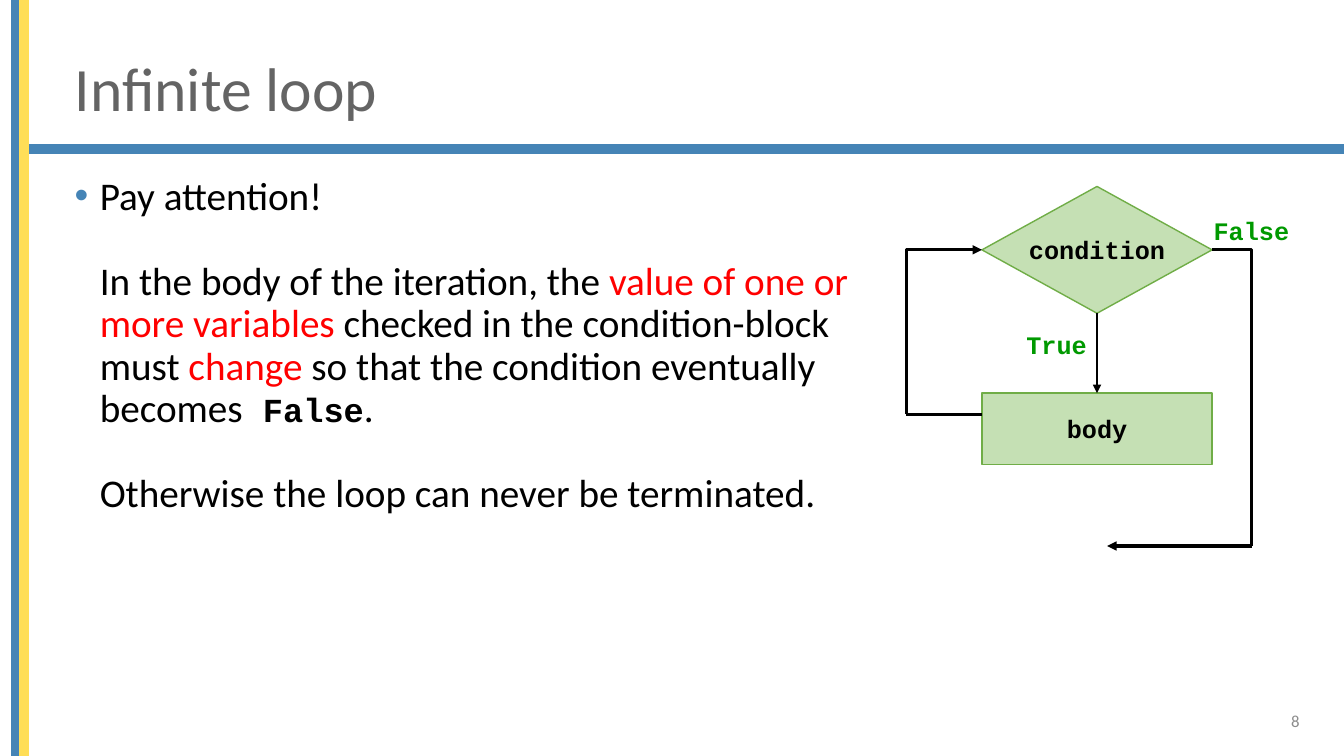
from lxml import etree
from pptx import Presentation
from pptx.dml.color import RGBColor
from pptx.enum.shapes import MSO_CONNECTOR as LINE, MSO_SHAPE as SHAPE
from pptx.enum.text import MSO_ANCHOR as ANCHOR, PP_ALIGN as ALIGN
from pptx.oxml.ns import qn
from pptx.util import Inches, Pt

BLUE = RGBColor(0x45, 0x84, 0xB6)
YELLOW = RGBColor(0xFF, 0xDE, 0x57)
GREY = RGBColor(0x64, 0x64, 0x64)
PALE_GREY = RGBColor(0x8C, 0x8C, 0x8C)
BLACK = RGBColor(0, 0, 0)
RED = RGBColor(0xFF, 0, 0)
PALE_GREEN = RGBColor(0xC5, 0xE0, 0xB4)
EDGE_GREEN = RGBColor(0x70, 0xAD, 0x47)
LABEL_GREEN = RGBColor(0, 0x99, 0)

deck = Presentation()
deck.slide_width, deck.slide_height = Inches(13.33), Inches(7.5)
slide = deck.slides.add_slide(deck.slide_layouts[6])
shapes = slide.shapes

# Grid of 160 columns by 90 rows
COL, ROW = deck.slide_width / 160, deck.slide_height / 90


def cells(left, top, width, height):
    return [round(n * unit) for n, unit in
            zip((left, top, width, height), (COL, ROW, COL, ROW))]


def style(run, size, color, font="Calibri", bold=False):
    run.font.size, run.font.name, run.font.bold = Pt(size), font, bold
    run.font.color.rgb = color


# Frame bars: the rule under the title, then the two side stripes
for area, color in [((2.2, 17.2, 157.8, 1), BLUE),
                    ((1.4, -2.3, 1, 94.4), BLUE),
                    ((2.4, -2.3, 1, 94.4), YELLOW)]:
    bar = shapes.add_shape(SHAPE.RECTANGLE, *cells(*area))
    bar.shadow.inherit = False
    bar.fill.solid()
    bar.fill.fore_color.rgb = bar.line.color.rgb = color
    bar.line.width = Pt(1)

# Title, page number and branch labels
for words, area, size, color, font, align, anchor, wrap in [
        ("Infinite loop", (7.7, 4.8, 141.4, 12.1), 44, GREY, "Calibri",
         ALIGN.LEFT, ANCHOR.MIDDLE, True),
        ("8", (119.9, 83.4, 36, 4.8), 12, PALE_GREY, "Calibri",
         ALIGN.RIGHT, ANCHOR.MIDDLE, True),
        ("True", (121, 38.6, 9.7, 4.8), 18, LABEL_GREEN, "Courier New",
         ALIGN.LEFT, ANCHOR.TOP, False),
        ("False", (143.3, 25, 11.5, 4.8), 18, LABEL_GREEN, "Courier New",
         ALIGN.LEFT, ANCHOR.TOP, False)]:
    frame = shapes.add_textbox(*cells(*area)).text_frame
    frame.text = words
    frame.word_wrap, frame.vertical_anchor = wrap, anchor
    line = frame.paragraphs[0]
    line.alignment = align
    line.line_spacing = 0.9 if size == 44 else 1
    style(line.runs[0], size, color, font, bold=font == "Courier New")

# Explanation: one bulleted line, then two indented paragraphs
advice = [
    [("Pay attention!", BLACK)],
    [("In the body of the iteration, the ", BLACK),
     ("value of one or more variables ", RED),
     ("checked in the condition-block must ", BLACK),
     ("change ", RED),
     ("so that the condition eventually becomes", BLACK),
     (" False", BLACK),
     (".", BLACK)],
    [("Otherwise the loop can never be terminated.", BLACK)],
]
explanation = shapes.add_textbox(*cells(7.7, 20.4, 95.5, 60.7)).text_frame
explanation.word_wrap = True
for index, pieces in enumerate(advice):
    para = explanation.paragraphs[0] if index == 0 else explanation.add_paragraph()
    para.line_spacing = 0.9
    para.space_before = Pt(30.7 if index else 0)
    props = para._p.get_or_add_pPr()
    props.set("marL", str(Inches(0.25)))
    props.set("indent", str(0 if index else -Inches(0.25)))
    if index == 0:
        bullet_color = etree.SubElement(props, qn("a:buClr"))
        etree.SubElement(bullet_color, qn("a:srgbClr"), val=str(BLUE))
        etree.SubElement(props, qn("a:buFont"), typeface="Arial")
        etree.SubElement(props, qn("a:buChar"), char="•")
    for words, color in pieces:
        run = para.add_run()
        run.text = words
        if words == " False":
            style(run, 24, color, "Courier New", bold=True)
        else:
            style(run, 28, color)

# Flowchart lines of reference, in grid cells
left, width = 116.9, 27.4
right, middle = left + width, left + width / 2
condition_top, condition_height = 22.2, 15.1
condition_mid = condition_top + condition_height / 2
condition_end = condition_top + condition_height
body_top, body_height = 46.8, 8.5
back_col, back_row = 107.9, 49.3
exit_col, exit_row, exit_end = 149, 65, 131.8

# Flowchart blocks
for words, kind, top, height in [
        ("condition", SHAPE.FLOWCHART_DECISION, condition_top, condition_height),
        ("body", SHAPE.RECTANGLE, body_top, body_height)]:
    block = shapes.add_shape(kind, *cells(left, top, width, height))
    block.shadow.inherit = False
    block.fill.solid()
    block.fill.fore_color.rgb = PALE_GREEN
    block.line.color.rgb, block.line.width = EDGE_GREEN, Pt(1)
    frame = block.text_frame
    frame.text = words
    frame.word_wrap, frame.vertical_anchor = False, ANCHOR.MIDDLE
    frame.paragraphs[0].alignment = ALIGN.CENTER
    style(frame.paragraphs[0].runs[0], 18, BLACK, "Courier New", bold=True)

# Flow lines: ends, weight, arrowhead, and where an elbow turns (0 start, 1 end)
for ends, weight, arrow, turn in [
        ((middle, condition_end, middle, body_top), 2, True, None),
        ((back_col, back_row, left, condition_mid), 2.25, True, 0),
        ((back_col, back_row, left, back_row), 2.25, False, None),
        ((right, condition_mid, exit_col, exit_row), 2.25, False, 1),
        ((exit_col, exit_row, exit_end, exit_row), 2.25, True, None)]:
    kind = LINE.STRAIGHT if turn is None else LINE.ELBOW
    flow = shapes.add_connector(kind, *cells(*ends))
    flow.line.color.rgb, flow.line.width = BLACK, Pt(weight)
    props = flow._element.spPr
    if arrow:
        etree.SubElement(flow.line._get_or_add_ln(), qn("a:tailEnd"), type="triangle")
    if turn is not None:
        guides = props.find(qn("a:prstGeom")).get_or_add_avLst()
        etree.SubElement(guides, qn("a:gd"), name="adj1", fmla=f"val {turn * 100000}")
    etree.SubElement(props, qn("a:effectLst"))

deck.save("out.pptx")
